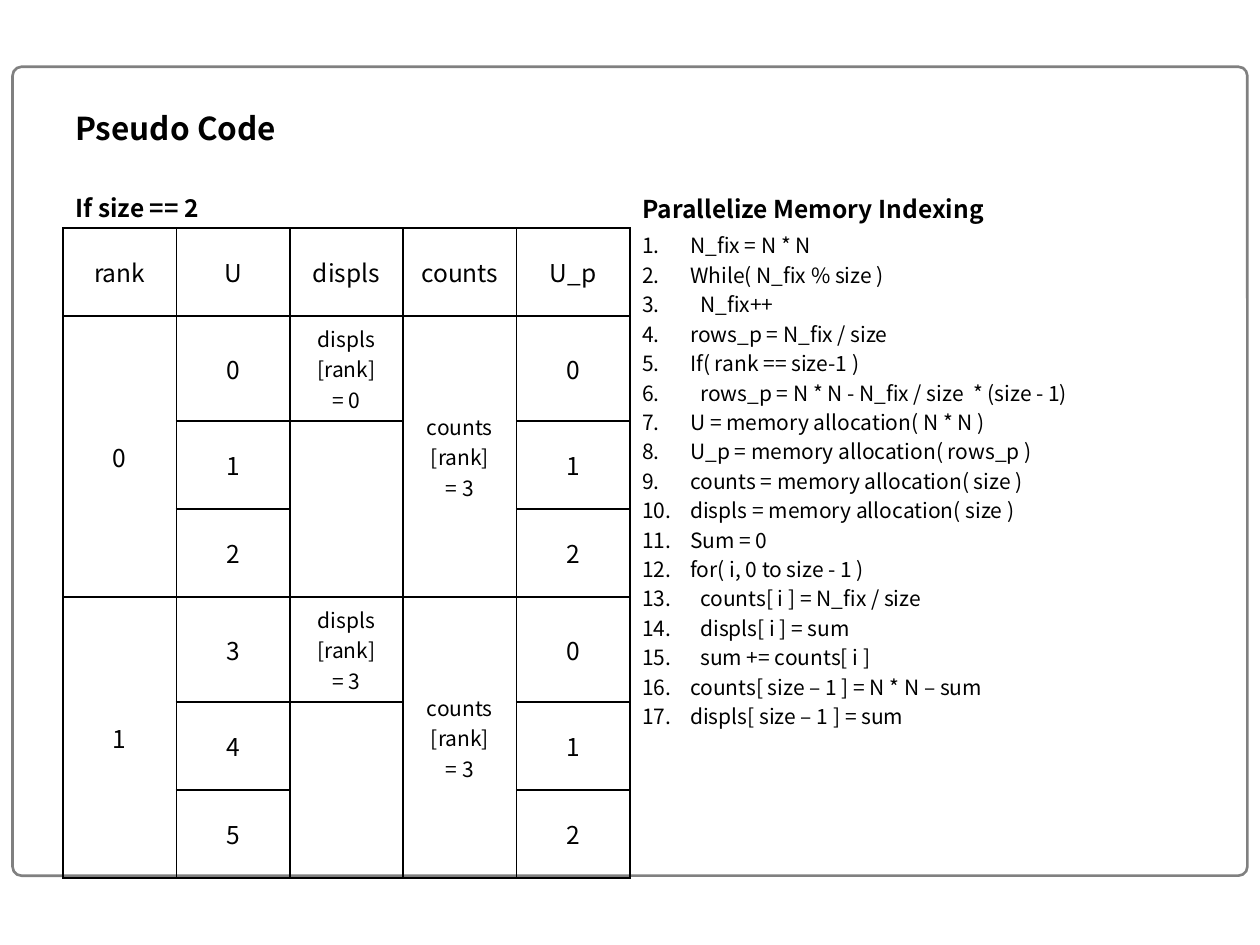
from lxml.etree import SubElement
from pptx import Presentation
from pptx.dml.color import RGBColor
from pptx.enum.shapes import MSO_SHAPE
from pptx.enum.text import MSO_ANCHOR, PP_ALIGN
from pptx.oxml.ns import qn
from pptx.util import Inches, Pt

FONT = "Noto Sans CJK KR"
BLACK = "000000"


def color(hex_code):
    return RGBColor.from_string(hex_code)


def write(frame, lines, size, bold=False, align=PP_ALIGN.LEFT):
    """Fill a text frame with one paragraph per line."""
    frame.word_wrap = True
    for index, line in enumerate(lines):
        para = frame.paragraphs[0] if index == 0 else frame.add_paragraph()
        para.text = line
        para.alignment = align
        para.font.name = FONT
        para.font.size = Pt(size)
        para.font.bold = bold
        para.font.color.rgb = color(BLACK)


deck = Presentation()
deck.slide_width, deck.slide_height = Inches(10), Inches(7.5)
page = deck.slides.add_slide(deck.slide_layouts[6])

border = page.shapes.add_shape(
    MSO_SHAPE.ROUNDED_RECTANGLE, Inches(0.1), Inches(0.53), Inches(9.8), Inches(6.42))
border.adjustments[0] = 0.011
border.shadow.inherit = False
border.fill.background()
border.line.color.rgb = color("808080")
border.line.width = Pt(1.5)

# Title and the two column headings: text, left, top, width, size, top margin
headings = [
    ("Pseudo Code", 0.5, 0.86, 9, 18, 0, MSO_ANCHOR.MIDDLE),
    ("If size == 2", 0.5, 1.48, 4.5, 14, 0.05, MSO_ANCHOR.TOP),
    ("Parallelize Memory Indexing", 5, 1.49, 4.5, 14, 0.05, MSO_ANCHOR.TOP),
]
for text, left, top, width, size, margin, anchor in headings:
    box = page.shapes.add_textbox(Inches(left), Inches(top), Inches(width), Inches(0.31))
    frame = box.text_frame
    frame.margin_top = Inches(margin)
    frame.margin_bottom = 0
    frame.vertical_anchor = anchor
    write(frame, [text], size, bold=True)

# Memory layout table: three rows of data for each rank
header = ["rank", "U", "displs", "counts", "U_p"]
rows_per_rank = 3
ranks = 2
row_count = 1 + ranks * rows_per_rank
table = page.shapes.add_table(
    row_count, len(header), Inches(0.5), Inches(1.81), Inches(4.5), Inches(4.9)).table
table.first_row = table.horz_banding = False

content = {(0, column): [name] for column, name in enumerate(header)}
for rank in range(ranks):
    first = 1 + rank * rows_per_rank
    last = first + rows_per_rank - 1
    content[first, 0] = [str(rank)]
    content[first, 2] = ["displs", "[rank]", f"= {rank * rows_per_rank}"]
    content[first, 3] = ["counts", "[rank]", f"= {rows_per_rank}"]
    for offset in range(rows_per_rank):
        content[first + offset, 1] = [str(rank * rows_per_rank + offset)]
        content[first + offset, 4] = [str(offset)]
    for column, start in ((0, first), (2, first + 1), (3, first)):
        table.cell(start, column).merge(table.cell(last, column))

for row in range(row_count):
    holds_displs = len(content.get((row, 2), [])) > 1
    table.rows[row].height = Inches(0.83 if holds_displs else 0.7)
    for column in range(len(header)):
        cell = table.cell(row, column)
        cell.vertical_anchor = MSO_ANCHOR.MIDDLE
        lines = content.get((row, column), [""])
        write(cell.text_frame, lines, 12 if len(lines) > 1 else 14, align=PP_ALIGN.CENTER)
        properties = cell._tc.get_or_add_tcPr()
        for side in ("a:lnL", "a:lnR", "a:lnT", "a:lnB"):
            line = SubElement(properties, qn(side), w=str(Pt(1)))
            fill = SubElement(line, qn("a:solidFill"))
            SubElement(fill, qn("a:srgbClr"), val=BLACK)
        cell.fill.background()

# Numbered pseudo code: nesting level and statement
code = [
    (0, "N_fix = N * N"),
    (0, "While( N_fix % size )"),
    (1, "N_fix++"),
    (0, "rows_p = N_fix / size"),
    (0, "If( rank == size-1 )"),
    (1, "rows_p = N * N - N_fix / size  * (size - 1)"),
    (0, "U = memory allocation( N * N )"),
    (0, "U_p = memory allocation( rows_p )"),
    (0, "counts = memory allocation( size )"),
    (0, "displs = memory allocation( size )"),
    (0, "Sum = 0"),
    (0, "for( i, 0 to size - 1 )"),
    (1, "counts[ i ] = N_fix / size"),
    (1, "displs[ i ] = sum"),
    (1, "sum += counts[ i ]"),
    (0, "counts[ size – 1 ] = N * N – sum"),
    (0, "displs[ size – 1 ] = sum"),
]
listing = page.shapes.add_textbox(Inches(5), Inches(1.8), Inches(4.5), Inches(4.9))
write(listing.text_frame, [statement for _, statement in code], 12)
for para, (level, _) in zip(listing.text_frame.paragraphs, code):
    para.space_before = Pt(2.4)
    indent = Inches(0.38 + 0.08 * level)
    properties = para._p.get_or_add_pPr()
    properties.set("marL", str(indent))
    properties.set("indent", str(-indent))
    number = properties.makeelement(qn("a:buAutoNum"), {"type": "arabicPeriod"})
    properties.find(qn("a:defRPr")).addprevious(number)

deck.save("out.pptx")
